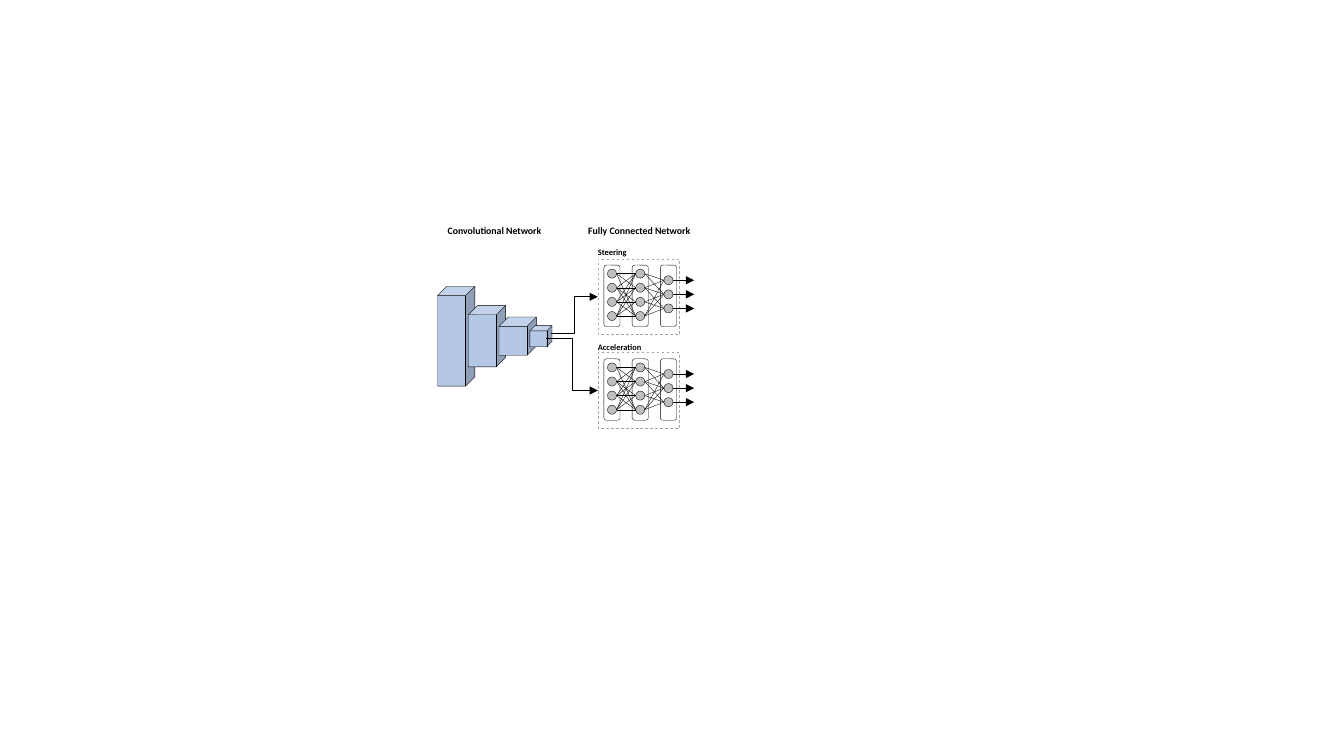
"""Draw a convolutional network that feeds two fully connected networks."""
from dataclasses import dataclass
from itertools import product

from lxml.etree import SubElement
from pptx import Presentation
from pptx.dml.color import RGBColor
from pptx.enum.dml import MSO_LINE
from pptx.enum.shapes import MSO_CONNECTOR as Link, MSO_SHAPE as Shape
from pptx.enum.text import MSO_AUTO_SIZE, PP_ALIGN as Align
from pptx.oxml.ns import qn
from pptx.util import Inches, Pt

BLACK, GREY, NODE_GREY, BLUE = "000000", "A5A5A5", "BFBFBF", "B4C7E7"
THIN, THICK = 0.25, 0.5
FRAME_LEFT, FRAME_WIDTH, FRAME_HEIGHT = 5.93, 0.81, 0.75
COLUMN_STEP, ROW_STEP, NODE_SIZE = 0.28, 0.14, 0.09
ARROW_LENGTH = 0.21
CUBE_LEFT, CUBE_STEP, CUBE_AXIS = 4.34, 0.305, 3.335


@dataclass(frozen=True)
class Box:
    """A rectangle in inches."""
    left: float
    top: float
    width: float
    height: float

    def emu(self) -> list[int]:
        """Return the rectangle in slide units."""
        return [Inches(v) for v in (self.left, self.top, self.width, self.height)]


@dataclass(frozen=True)
class Layer:
    """A column of neurons and the links left out on its input side."""
    count: int
    first_row: float
    skipped: tuple[tuple[int, int], ...] = ()


@dataclass(frozen=True)
class Branch:
    """A fully connected network and the point where its input starts."""
    name: str
    label_top: float
    frame_top: float
    source: tuple[float, float]


LAYERS = [Layer(4, 0.145), Layer(4, 0.145, ((0, 2),)), Layer(3, 0.21, ((0, 2), (2, 0)))]
BRANCHES = [
    Branch("Steering", 2.45, 2.57, (5.47, 3.31)),
    Branch("Acceleration", 3.39, 3.50, (5.42, 3.36)),
]
CUBES = [(0.37, 0.99), (0.37, 0.61), (0.37, 0.38), (0.22, 0.21)]
HEADINGS = [
    ("Convolutional Network", Box(4.34, 2.18, 1.13, 0.34)),
    ("Fully Connected Network", Box(5.69, 2.18, 1.30, 0.22)),
]

deck = Presentation()
deck.slide_width, deck.slide_height = Inches(13.33), Inches(7.5)
page = deck.slides.add_slide(deck.slide_layouts[6])


def paint(target, color: str) -> None:
    """Set a fill, a line or a font to one colour."""
    if hasattr(target, "solid"):
        target.solid()
        target.fore_color.rgb = RGBColor.from_string(color)
    else:
        target.color.rgb = RGBColor.from_string(color)


def add_block(kind: Shape, box: Box, fill: str = "", line: str = BLACK, width: float = THIN):
    """Add a preset shape, hollow unless a fill is given."""
    shape = page.shapes.add_shape(kind, *box.emu())
    shape.shadow.inherit = False
    if fill:
        paint(shape.fill, fill)
    else:
        shape.fill.background()
    paint(shape.line, line)
    shape.line.width = Pt(width)
    return shape


def add_link(start: tuple[float, float], end: tuple[float, float],
             kind: Link = Link.STRAIGHT, arrow: bool = False) -> None:
    """Join two points, with a thicker line when it ends in an arrowhead."""
    link = page.shapes.add_connector(kind, *(Inches(v) for v in start + end))
    paint(link.line, BLACK)
    link.line.width = Pt(THICK if arrow else THIN)
    properties = link._element.spPr
    if arrow:
        SubElement(properties.find(qn("a:ln")), qn("a:tailEnd"), type="triangle")
    SubElement(properties, qn("a:effectLst"))


def add_text(text: str, box: Box, size: float, align: Align, flush: bool = False) -> None:
    """Add one bold line of text, without margins when flush."""
    frame = page.shapes.add_textbox(*box.emu()).text_frame
    frame.word_wrap = True
    frame.auto_size = MSO_AUTO_SIZE.SHAPE_TO_FIT_TEXT
    if flush:
        frame.margin_left = frame.margin_right = frame.margin_top = frame.margin_bottom = 0
    para = frame.paragraphs[0]
    para.text, para.alignment = text, align
    para.font.name, para.font.size, para.font.bold = "Calibri", Pt(size), True
    paint(para.font, BLACK)


def add_branch(branch: Branch) -> None:
    """Draw one labelled network with its input and output arrows."""
    top = branch.frame_top
    frame = add_block(Shape.RECTANGLE, Box(FRAME_LEFT, top, FRAME_WIDTH, FRAME_HEIGHT),
                      line=GREY, width=THICK)
    frame.line.dash_style = MSO_LINE.DASH
    add_text(branch.name, Box(FRAME_LEFT, branch.label_top, FRAME_WIDTH, 0.1), 6, Align.LEFT, True)
    add_link(branch.source, (FRAME_LEFT, top + FRAME_HEIGHT / 2), Link.ELBOW, True)

    outputs: list[tuple[float, float]] = []
    for column, layer in enumerate(LAYERS):
        left = FRAME_LEFT + 0.06 + column * COLUMN_STEP
        add_block(Shape.FLOWCHART_ALTERNATE_PROCESS, Box(left, top + 0.06, 0.16, 0.61))
        node_left = left + 0.035
        centres = [top + layer.first_row + row * ROW_STEP for row in range(layer.count)]
        for centre in centres:
            add_block(Shape.OVAL, Box(node_left, centre - NODE_SIZE / 2, NODE_SIZE, NODE_SIZE),
                      NODE_GREY)
        for (origin, start), (row, centre) in product(enumerate(outputs), enumerate(centres)):
            if (origin, row) not in layer.skipped:
                add_link(start, (node_left, centre))
        outputs = [(node_left + NODE_SIZE, centre) for centre in centres]
    for x, y in outputs:
        add_link((x, y), (x + ARROW_LENGTH, y), arrow=True)


for index, (cube_width, cube_height) in enumerate(CUBES):
    add_block(Shape.CUBE, Box(CUBE_LEFT + index * CUBE_STEP, CUBE_AXIS - cube_height / 2,
                              cube_width, cube_height), BLUE)
for network in BRANCHES:
    add_branch(network)
for heading, place in HEADINGS:
    add_text(heading, place, 7, Align.CENTER)

deck.save("out.pptx")
